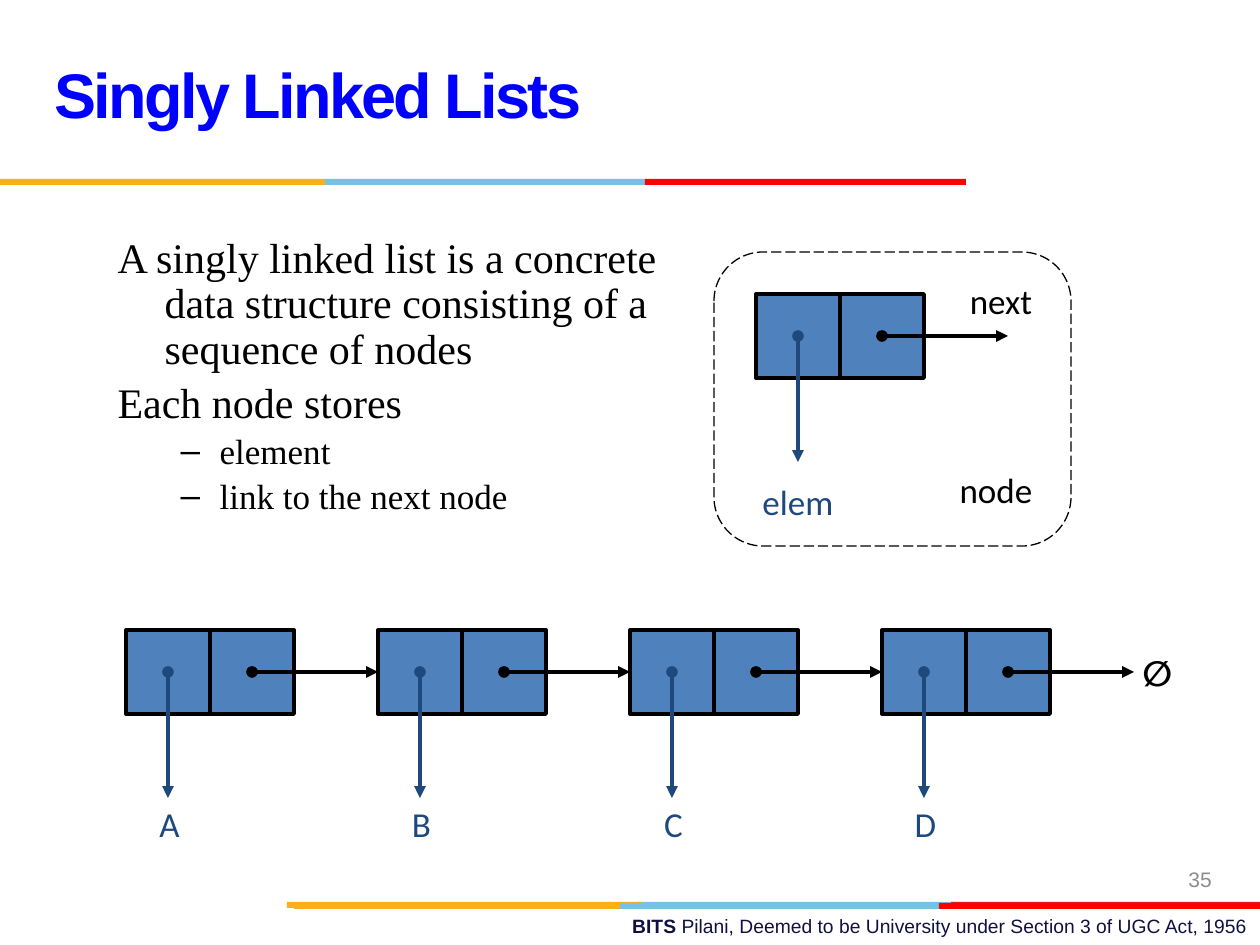
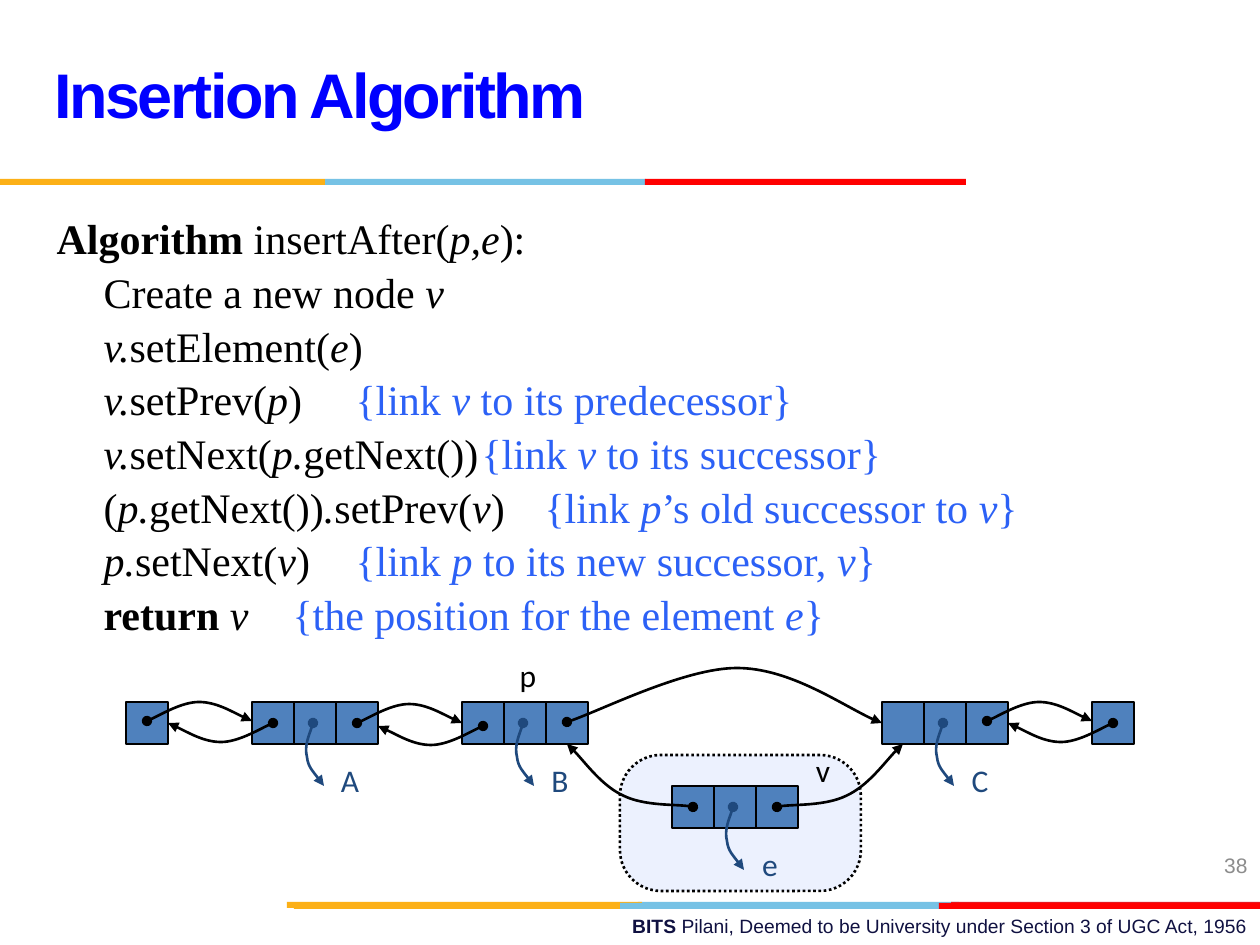
from typing import NamedTuple

from lxml import etree
from pptx import Presentation
from pptx.dml.color import RGBColor
from pptx.enum.dml import MSO_LINE
from pptx.enum.shapes import MSO_CONNECTOR, MSO_SHAPE
from pptx.enum.text import MSO_ANCHOR, MSO_AUTO_SIZE, PP_ALIGN
from pptx.oxml.ns import qn
from pptx.util import Emu, Pt

RECT, ROUND = MSO_SHAPE.RECTANGLE, MSO_SHAPE.ROUNDED_RECTANGLE
STRAIGHT = MSO_CONNECTOR.STRAIGHT
DASH, DOTS = MSO_LINE.LONG_DASH, MSO_LINE.ROUND_DOT
LEFT, CENTER, RIGHT = PP_ALIGN.LEFT, PP_ALIGN.CENTER, PP_ALIGN.RIGHT
TOP, MIDDLE = MSO_ANCHOR.TOP, MSO_ANCHOR.MIDDLE
NO_FIT = MSO_AUTO_SIZE.NONE
LEFT_SIDE = 1

UNIT = 914400 / 126  # EMU in one px
BLACK, NAVY, NODE, PALE = "000000", "1F497D", "4F81BD", "ECF1FE"
GOLD, SKY, RED, CRIMSON = "FCB017", "76C2E5", "FF0000", "E31C24"
BLUE, NOTE, GRAY, INK = "0000FF", "2C61F6", "8C8C8C", "101141"

TITLE = {"name": "Arial", "size": Pt(36), "bold": True}
SMALL = {"name": "Arial", "size": Pt(11)}
PAGE = {"name": "Arial", "size": Pt(12)}
SERIF = {"name": "Times New Roman", "size": Pt(24)}
SUB = {**SERIF, "size": Pt(20)}
LABEL = {"name": "Calibri", "size": Pt(20)}
TAG = {**LABEL, "size": Pt(18)}


class Area(NamedTuple):
    x: int
    y: int
    w: int
    h: int


class Band(NamedTuple):
    area: Area
    color: str


class Step(NamedTuple):
    code: str  # underscores switch italics on and off
    note: str = ""
    key: str = ""
    hang: int = 0


BANDS = [
    Band(Area(638, 902, 321, 6), SKY),
    Band(Area(951, 902, 309, 6), CRIMSON),
    Band(Area(287, 902, 355, 6), GOLD),
    Band(Area(620, 903, 321, 6), SKY),
    Band(Area(294, 903, 326, 6), GOLD),
    Band(Area(939, 903, 321, 6), RED),
    Band(Area(325, 179, 321, 6), SKY),
    Band(Area(0, 179, 325, 6), GOLD),
    Band(Area(645, 179, 321, 6), RED),
]

# Curves: two Bezier pieces, as offsets from the start
Curve = list[tuple[int, int]]
HOP: Curve = [(8, -3), (35, -19), (52, -19), (69, -19), (95, -4), (105, 0)]
DROP: Curve = [(-1, 5), (-9, 23), (-6, 34), (-5, 44), (7, 57), (11, 63)]
LEAP: Curve = [(29, -9), (118, -54), (170, -54), (223, -54), (285, -10), (315, 1)]
RISE: Curve = [(11, -3), (48, -1), (69, -11), (91, -21), (114, -53), (126, -63)]
BACK: Curve = [(-x, -y) for x, y in HOP]
RISE_LEFT: Curve = [(-x, y) for x, y in RISE]

STEPS = [
    Step("insertAfter(_p,e_):", key="Algorithm ", hang=-47),
    Step("Create a new node _v_"),
    Step("_v._setElement(_e_)"),
    Step("_v._setPrev(_p_)\t", "{link _v _to its predecessor}"),
    Step("_v._setNext(_p._getNext())\t", "{link _v _to its successor}"),
    Step("(_p._getNext())_._setPrev(_v_)\t", "{link _p_’s old successor to _v_}"),
    Step("_p._setNext(_v_)\t", "{link _p _to its new successor, _v_}"),
    Step("_v\t_", "{the position for the element _e_}", key="return "),
]


def px(n: float) -> Emu:
    return Emu(round(n * UNIT))


def rgb(color: str) -> RGBColor:
    return RGBColor.from_string(color)


def apply(item, form: dict) -> None:
    for key, value in form.items():
        setattr(item, key, value)


def put(par, text: str, form: dict, color: str):
    run = par.add_run()
    run.text = text
    apply(run.font, form)
    run.font.color.rgb = rgb(color)
    return run


def place(shape, area: Area) -> None:
    sides = ("left", "top", "width", "height")
    apply(shape, dict(zip(sides, map(px, area))))


# Shapes and lines
def shape(slide, area: Area, fill: str = "", width: float = 0,
          kind=RECT, dash=None):
    item = slide.shapes.add_shape(kind, *map(px, area))
    item.shadow.inherit = False
    if fill:
        item.fill.solid()
        item.fill.fore_color.rgb = rgb(fill)
    else:
        item.fill.background()
    if width:
        item.line.color.rgb = rgb(BLACK)
        item.line.width = Pt(width)
        item.line.dash_style = dash
    else:
        item.line.fill.background()
    return item


def tips(item, color: str, width: float) -> None:
    item.line.color.rgb = rgb(color)
    item.line.width = Pt(width)
    stroke = item.line._get_or_add_ln()
    for tag, kind in (("a:headEnd", "oval"), ("a:tailEnd", "triangle")):
        etree.SubElement(stroke, qn(tag), type=kind)


def arrow(slide, x: int, y: int, dx: int, dy: int, color: str, goal=None) -> None:
    item = slide.shapes.add_connector(
        STRAIGHT, px(x), px(y), px(x + dx), px(y + dy))
    tips(item, color, 2.25)
    etree.SubElement(item._element.spPr, qn("a:effectLst"))
    if goal is not None:
        item.end_connect(goal, LEFT_SIDE)


def curve(slide, x: int, y: int, course: Curve, color: str = BLACK) -> None:
    pen = slide.shapes.build_freeform(x, y, UNIT)
    pen.add_line_segments([(x + dx, y + dy) for dx, dy in course], close=False)
    item = pen.convert_to_shape()
    item.shadow.inherit = False
    item.fill.background()
    tips(item, color, 1.5)
    # Turn each three segments into one Bezier piece
    route = item._element.find(".//" + qn("a:path"))
    legs = list(route)[1:]
    for first in (0, 3):
        bend = etree.SubElement(route, qn("a:cubicBezTo"))
        for leg in legs[first:first + 3]:
            bend.append(leg[0])
            route.remove(leg)


def cells(slide, x: int, y: int, size: int, count: int, width: float) -> list:
    return [shape(slide, Area(x + i * size, y, size, size), NODE, width)
            for i in range(count)]


# Text
def label(slide, area: Area, text: str, form: dict, color: str = BLACK,
          align=CENTER, anchor=TOP):
    frame = slide.shapes.add_textbox(*map(px, area)).text_frame
    apply(frame, {"word_wrap": False, "vertical_anchor": anchor})
    par = frame.paragraphs[0]
    par.alignment = align
    put(par, text, form, color)
    return par


def body(slide, area: Area):
    box = slide.placeholders[1]
    place(box, area)
    apply(box.text_frame, {"word_wrap": True, "auto_size": NO_FIT,
                           "vertical_anchor": TOP})
    return box.text_frame


def item(frame, index: int, margin: int, hang: int, gap: float, mark: str = ""):
    par = frame.add_paragraph() if index else frame.paragraphs[0]
    props = par._p.get_or_add_pPr()
    props.set("marL", str(px(margin)))
    props.set("indent", str(px(hang)))
    if mark:
        etree.SubElement(props, qn("a:buChar"), char=mark)
    else:
        etree.SubElement(props, qn("a:buNone"))
    apply(par, {"level": 1 if mark else 0, "line_spacing": 0.9,
                "space_before": Pt(gap if index else 0), "alignment": LEFT})
    return par


def start(deck, title: str):
    """Add a slide with its title, bands and footer."""
    slide = deck.slides.add_slide(deck.slide_layouts[1])
    for band in BANDS:
        shape(slide, band.area, band.color)
    foot = label(slide, Area(451, 908, 809, 37), "BITS ",
                 {**SMALL, "bold": True}, INK, RIGHT)
    put(foot, "Pilani, Deemed to be University under Section 3 of UGC Act, 1956",
        SMALL, INK)
    head = slide.shapes.title
    place(head, Area(42, 21, 872, 158))
    apply(head.text_frame, {"vertical_anchor": MIDDLE, "auto_size": NO_FIT})
    par = head.text_frame.paragraphs[0]
    apply(par, {"alignment": LEFT, "line_spacing": Pt(36)})
    run = put(par, title, TITLE, BLUE)
    run._r.get_or_add_rPr().set("spc", "-150")
    return slide


def singly(deck) -> None:
    slide = start(deck, "Singly Linked Lists")
    label(slide, Area(1176, 859, 84, 40), "35", PAGE, GRAY, LEFT, MIDDLE)

    frame = body(slide, Area(105, 231, 567, 347))
    points = [
        ("A singly linked list is a concrete data structure "
         "consisting of a sequence of nodes", ""),
        ("Each node stores", ""),
        ("element", "–"),
        ("link to the next node", "–"),
    ]
    for i, (text, mark) in enumerate(points):
        if mark:
            put(item(frame, i, 102, -39, 4, mark), text, SUB, BLACK)
        else:
            put(item(frame, i, 47, -47, 4.8), text, SERIF, BLACK)

    # One node, explained
    panel = shape(slide, Area(714, 252, 357, 294), "", 0.75, ROUND, DASH)
    panel.adjustments[0] = 0.167
    cells(slide, 756, 294, 84, 2, 2.25)
    arrow(slide, 798, 336, 0, 126, NAVY)
    arrow(slide, 882, 336, 126, 0, BLACK)
    label(slide, Area(955, 273, 92, 54), "next", LABEL)
    label(slide, Area(748, 474, 100, 54), "elem", LABEL, NAVY)
    label(slide, Area(945, 462, 102, 54), "node", LABEL)

    # Chain of nodes
    starts = [126 + 252 * i for i in range(4)]
    chain = [cells(slide, x, 630, 84, 2, 2.25)[0] for x in starts]
    goals = chain[1:] + [None]
    for x, goal, name in zip(starts, goals, "ABCD"):
        arrow(slide, x + 42, 672, 0, 126, NAVY)
        arrow(slide, x + 126, 672, 126, 0, BLACK, goal)
        label(slide, Area(x + 20, 796, 47, 54), name, LABEL, NAVY)
    label(slide, Area(1130, 645, 54, 54), "∅", {**LABEL, "bold": True})


def insertion(deck) -> None:
    slide = start(deck, "Insertion Algorithm")
    label(slide, Area(966, 840, 294, 50), "38", PAGE, GRAY, RIGHT, MIDDLE)

    # Pseudocode
    frame = body(slide, Area(44, 212, 1071, 609))
    for i, step in enumerate(STEPS):
        par = item(frame, i, 47, step.hang, 4.8)
        if step.key:
            put(par, step.key, {**SERIF, "bold": True}, BLACK)
        for text, color in ((step.code, BLACK), (step.note, NOTE)):
            for turn, part in enumerate(text.split("_")):
                if part:
                    put(par, part, {**SERIF, "italic": turn % 2 == 1}, color)

    # Nodes with their elements
    panel = shape(slide, Area(620, 755, 241, 136), PALE, 1.5, ROUND, DOTS)
    panel.adjustments[0] = 0.301
    for x in (126, 1092):
        cells(slide, x, 702, 42, 1, 1.5)
    nodes = [(252, 702, "A"), (462, 702, "B"), (882, 702, "C"), (672, 786, "e")]
    for x, y, name in nodes:
        cells(slide, x, y, 42, 3, 1.5)
        curve(slide, x + 61, y + 21, DROP, NAVY)
        label(slide, Area(x + 73, y + 53, 50, 50), name, TAG, NAVY)
    label(slide, Area(503, 650, 50, 50), "p", TAG)
    label(slide, Area(798, 745, 50, 50), "v", TAG)

    # Links between nodes
    links = [
        (147, 721, HOP), (357, 723, HOP), (987, 721, HOP),
        (273, 723, BACK), (483, 726, BACK), (1113, 723, BACK),
        (567, 722, LEAP), (777, 807, RISE), (693, 807, RISE_LEFT),
    ]
    for link in links:
        curve(slide, *link)


def main() -> None:
    deck = Presentation()
    apply(deck, {"slide_width": px(1260), "slide_height": px(945)})
    singly(deck)
    insertion(deck)
    deck.save("out.pptx")


if __name__ == "__main__":
    main()
